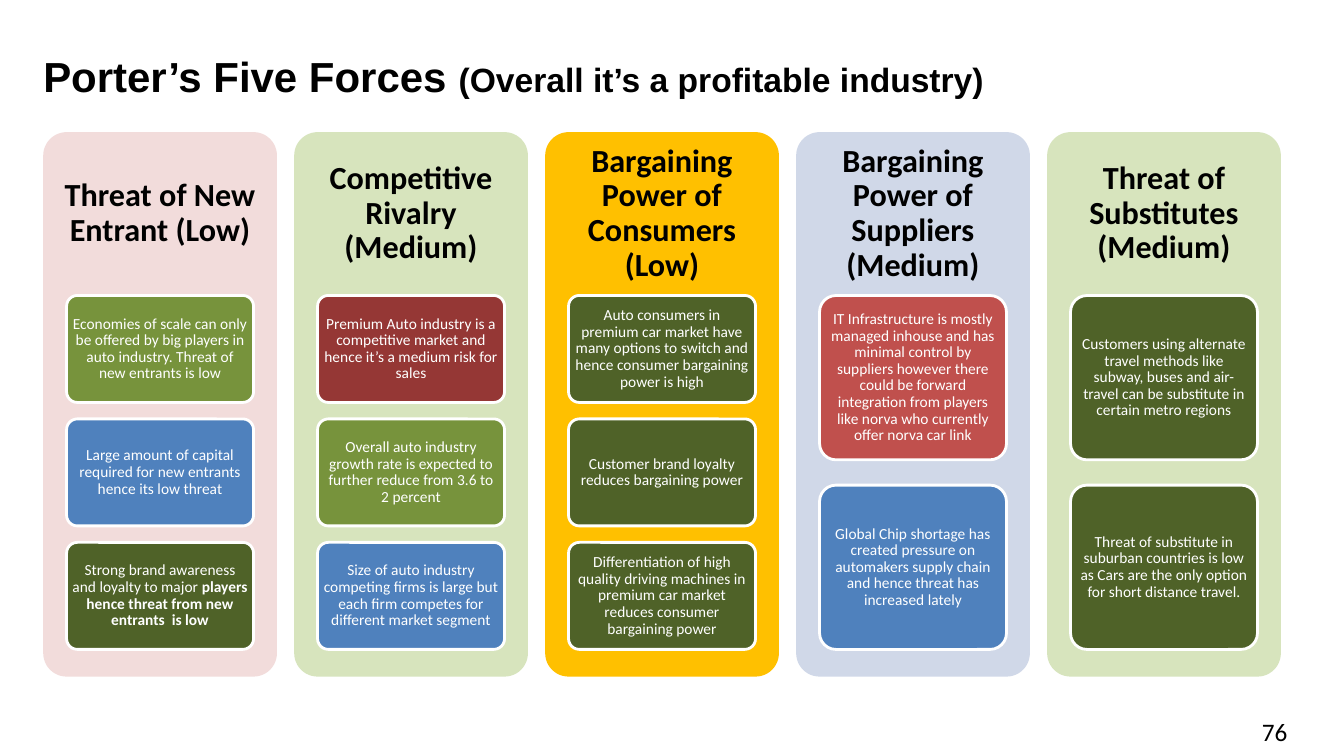
from pptx import Presentation
from pptx.dml.color import RGBColor
from pptx.enum.shapes import MSO_SHAPE
from pptx.enum.text import MSO_ANCHOR, PP_ALIGN
from pptx.util import Cm, Pt

OLIVE, GREEN, BLUE = "4F6228", "77933C", "4F81BD"
BRICK, RED = "953735", "C0504D"
BLACK, WHITE = "000000", "FFFFFF"

FORCES = [
    ("Threat of New Entrant (Low)", "F2DCDB", [
        (GREEN, ["Economies of scale can only be offered by big players in auto industry. "
                 "Threat of new entrants is low"]),
        (BLUE, ["Large amount of capital required for new entrants hence its low threat"]),
        (OLIVE, ["Strong brand awareness and loyalty to major ",
                 "players hence threat from new entrants  is low"]),
    ]),
    ("Competitive Rivalry (Medium)", "D7E4BD", [
        (BRICK, ["Premium Auto industry is a competitive market and hence it’s a medium risk "
                 "for sales"]),
        (GREEN, ["Overall auto industry growth rate is expected to further reduce from 3.6 to "
                 "2 percent"]),
        (BLUE, ["Size of auto industry competing firms is large but each firm competes for "
                "different market segment"]),
    ]),
    ("Bargaining Power of Consumers (Low)", "FFC000", [
        (OLIVE, ["Auto consumers in premium car market have many options to switch and hence "
                 "consumer bargaining power is high"]),
        (OLIVE, ["Customer brand loyalty reduces bargaining power"]),
        (OLIVE, ["Differentiation of high quality driving machines in premium car market "
                 "reduces consumer bargaining power"]),
    ]),
    ("Bargaining Power of Suppliers (Medium)", "D0D8E8", [
        (RED, ["IT Infrastructure is mostly managed inhouse and has minimal control by "
               "suppliers however there could be forward integration from players like norva "
               "who currently offer norva car link"]),
        (BLUE, ["Global Chip shortage has created pressure on automakers supply chain and "
                "hence threat has increased lately"]),
    ]),
    ("Threat of Substitutes (Medium)", "D7E4BD", [
        (OLIVE, ["Customers using alternate travel methods like subway, buses and air-travel "
                 "can be substitute in certain metro regions"]),
        (OLIVE, ["Threat of substitute in suburban countries is low as Cars are the only "
                 "option for short distance travel."]),
    ]),
]


def rgb(color):
    """Turn a hex string into a colour."""
    return RGBColor.from_string(color)


def add_text(frame, text, size, color=BLACK, bold=False, font="Calibri",
             align=PP_ALIGN.LEFT, spacing=1.0, anchor=MSO_ANCHOR.TOP, margins=(0.25, 0.13)):
    """Append a formatted run to the first paragraph of a text frame."""
    frame.word_wrap = True
    frame.vertical_anchor = anchor
    frame.margin_left = frame.margin_right = Cm(margins[0])
    frame.margin_top = frame.margin_bottom = Cm(margins[1])
    paragraph = frame.paragraphs[0]
    paragraph.alignment = align
    paragraph.line_spacing = spacing
    run = paragraph.add_run()
    run.text = text
    run.font.name = font
    run.font.size = Pt(size)
    run.font.bold = bold
    run.font.color.rgb = rgb(color)


def add_panel(slide, left, top, width, height, fill, outline=None):
    """Draw a rounded panel and return it."""
    panel = slide.shapes.add_shape(MSO_SHAPE.ROUNDED_RECTANGLE,
                                   Cm(left), Cm(top), Cm(width), Cm(height))
    panel.adjustments[0] = 0.1
    panel.shadow.inherit = False
    panel.fill.solid()
    panel.fill.fore_color.rgb = rgb(fill)
    if outline:
        panel.line.color.rgb = rgb(outline)
        panel.line.width = Pt(2)
    else:
        panel.line.fill.background()
    return panel


def add_title(slide, left, top, width, height):
    """Place the title with its smaller remark."""
    title = slide.shapes.title
    title.left, title.top, title.width, title.height = map(Cm, (left, top, width, height))
    for text, size in (("Porter’s Five Forces ", 30),
                       ("(Overall it’s a profitable industry)", 24)):
        add_text(title.text_frame, text, size, bold=True, font="Arial",
                 anchor=MSO_ANCHOR.MIDDLE)


def add_force(slide, left, top, width, height, heading, fill, factors):
    """Draw one force: a tinted column, its heading and its factor cards."""
    add_panel(slide, left, top, width, height, fill)
    heading_height = 0.3 * height
    heading_box = slide.shapes.add_textbox(Cm(left), Cm(top), Cm(width), Cm(heading_height))
    add_text(heading_box.text_frame, heading, 23, bold=True, align=PP_ALIGN.CENTER,
             spacing=0.9, anchor=MSO_ANCHOR.MIDDLE, margins=(0.25, 0.25))

    gap_share = 2 / 13
    count = len(factors)
    card_height = 0.65 * height / (count + (count - 1) * gap_share)
    for row, (color, parts) in enumerate(factors):
        card_top = top + heading_height + row * card_height * (1 + gap_share)
        card = add_panel(slide, left + 0.1 * width, card_top, 0.8 * width, card_height,
                         color, WHITE)
        for index, part in enumerate(parts):
            add_text(card.text_frame, part, 11, color=WHITE, bold=index > 0,
                     align=PP_ALIGN.CENTER, spacing=0.9, anchor=MSO_ANCHOR.MIDDLE,
                     margins=(0.07, 0.05))


def add_forces(slide, left, top, width, height):
    """Spread the forces as equal columns over the given box."""
    column_width = 5.89
    pitch = (width - column_width) / (len(FORCES) - 1)
    for column, force in enumerate(FORCES):
        add_force(slide, left + column * pitch, top, column_width, height, *force)


def add_page_number(slide, left, top, width, height):
    """Place the page number."""
    number_box = slide.shapes.add_textbox(Cm(left), Cm(top), Cm(width), Cm(height))
    add_text(number_box.text_frame, "76", 18)


def main():
    """Build and save the slide."""
    deck = Presentation()
    deck.slide_width, deck.slide_height = Cm(33.87), Cm(19.05)
    slide = deck.slides.add_slide(deck.slide_layouts[5])
    add_title(slide, 0.84, 1.17, 27.05, 1.5)
    add_forces(slide, 1.09, 3.33, 31.19, 13.72)
    add_page_number(slide, 31.55, 17.91, 1.75, 1.02)
    deck.save("out.pptx")


if __name__ == "__main__":
    main()
